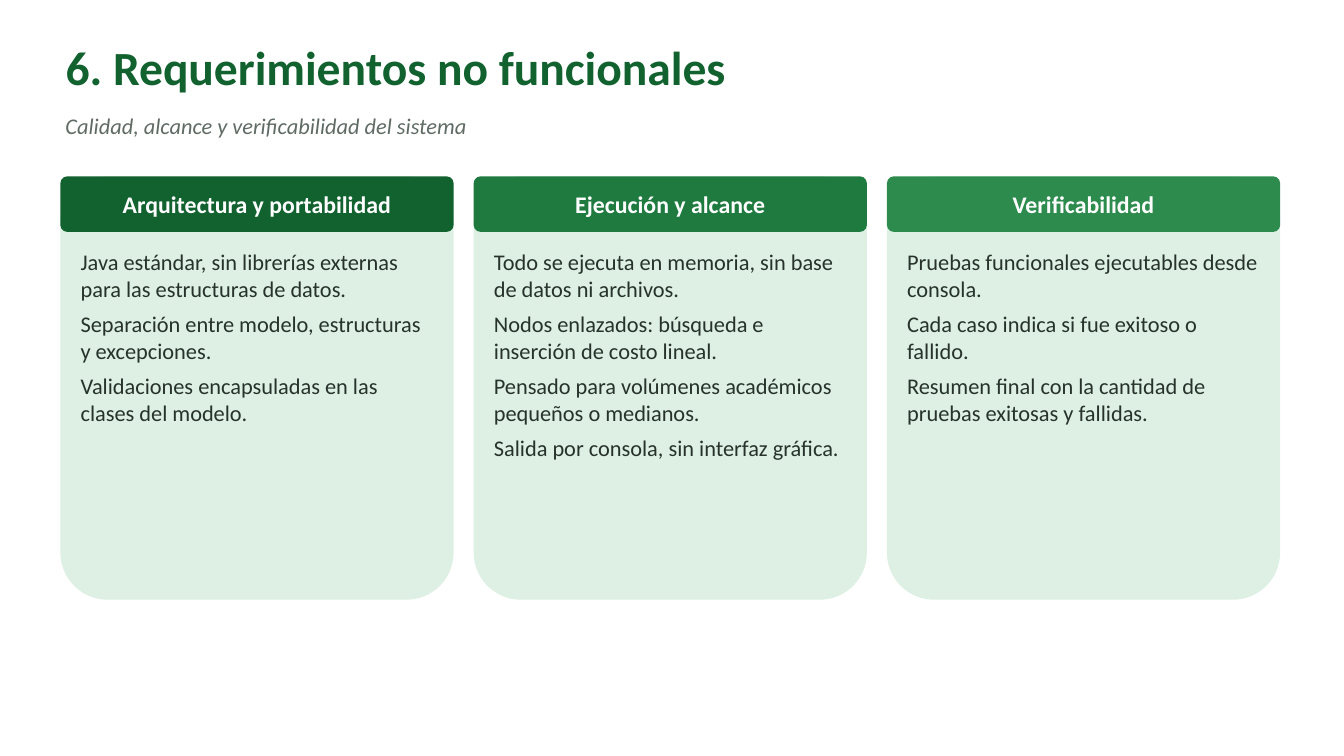
from pptx import Presentation
from pptx.dml.color import RGBColor
from pptx.enum.shapes import MSO_SHAPE as Shape
from pptx.enum.text import MSO_ANCHOR as Anchor, MSO_AUTO_SIZE as AutoSize, PP_ALIGN as Align
from pptx.util import Pt

TITLE = "6. Requerimientos no funcionales"
SUBTITLE = "Calidad, alcance y verificabilidad del sistema"
CARDS = [
    ("Arquitectura y portabilidad", "dark", [
        "Java estándar, sin librerías externas para las estructuras de datos.",
        "Separación entre modelo, estructuras y excepciones.",
        "Validaciones encapsuladas en las clases del modelo.",
    ]),
    ("Ejecución y alcance", "medium", [
        "Todo se ejecuta en memoria, sin base de datos ni archivos.",
        "Nodos enlazados: búsqueda e inserción de costo lineal.",
        "Pensado para volúmenes académicos pequeños o medianos.",
        "Salida por consola, sin interfaz gráfica.",
    ]),
    ("Verificabilidad", "light", [
        "Pruebas funcionales ejecutables desde consola.",
        "Cada caso indica si fue exitoso o fallido.",
        "Resumen final con la cantidad de pruebas exitosas y fallidas.",
    ]),
]
COLORS = {
    "dark": "11622F", "medium": "1E7A3E", "light": "2E8B4E", "card": "DDF0E3",
    "white": "FFFFFF", "gray": "5F6B64", "body": "26322B",
}
FONT = "Calibri"
LEFT, CONTENT_WIDTH = 43.2, 871.2
CARD_TOP, CARD_WIDTH, CARD_HEIGHT, CARD_GAP = 126, 280.8, 302.4, 14.4
HEADER_HEIGHT = 39.6
BODY_INSET, BODY_TOP, BODY_HEIGHT = 10.8, 174.96, 244.8


def write(shape, lines, size, color, bold=False, italic=False, align=Align.LEFT,
          anchor=Anchor.TOP, margins=(3.6, 2.16), auto_size=AutoSize.SHAPE_TO_FIT_TEXT):
    """Fill a shape with one paragraph per line, all in one style."""
    frame = shape.text_frame
    frame.word_wrap = True
    frame.auto_size = auto_size
    frame.vertical_anchor = anchor
    frame.margin_left = frame.margin_right = Pt(margins[0])
    frame.margin_top = frame.margin_bottom = Pt(margins[1])
    for index, line in enumerate(lines):
        paragraph = frame.add_paragraph() if index else frame.paragraphs[0]
        paragraph.alignment = align
        paragraph.space_before = Pt(6 if index else 0)
        run = paragraph.add_run()
        run.text = line
        run.font.name = FONT
        run.font.size = Pt(size)
        run.font.bold = bold
        run.font.italic = italic
        run.font.color.rgb = RGBColor.from_string(COLORS[color])


def add_panel(slide, left, height, color):
    panel = slide.shapes.add_shape(
        Shape.ROUNDED_RECTANGLE, Pt(left), Pt(CARD_TOP), Pt(CARD_WIDTH), Pt(height))
    panel.adjustments[0] = 0.12
    panel.shadow.inherit = False
    panel.fill.solid()
    panel.fill.fore_color.rgb = RGBColor.from_string(COLORS[color])
    panel.line.fill.background()
    return panel


def add_card(slide, left, heading, color, lines):
    add_panel(slide, left, CARD_HEIGHT, "card")
    header = add_panel(slide, left, HEADER_HEIGHT, color)
    write(header, [heading], 17, "white", bold=True, align=Align.CENTER,
          anchor=Anchor.MIDDLE, margins=(5.76, 2.88), auto_size=AutoSize.NONE)
    body = slide.shapes.add_textbox(
        Pt(left + BODY_INSET), Pt(BODY_TOP), Pt(CARD_WIDTH - 2 * BODY_INSET), Pt(BODY_HEIGHT))
    write(body, lines, 16, "body")


def main():
    presentation = Presentation()
    presentation.slide_width, presentation.slide_height = Pt(960), Pt(540)
    slide = presentation.slides.add_slide(presentation.slide_layouts[5])

    title = slide.shapes.title
    title.left, title.top = Pt(LEFT), Pt(25.2)
    title.width, title.height = Pt(CONTENT_WIDTH), Pt(57.6)
    write(title, [TITLE], 34, "dark", bold=True)

    subtitle = slide.shapes.add_textbox(Pt(LEFT), Pt(77.76), Pt(CONTENT_WIDTH), Pt(32.4))
    write(subtitle, [SUBTITLE], 16, "gray", italic=True)

    for column, (heading, color, lines) in enumerate(CARDS):
        add_card(slide, LEFT + column * (CARD_WIDTH + CARD_GAP), heading, color, lines)

    presentation.save("out.pptx")


if __name__ == "__main__":
    main()
